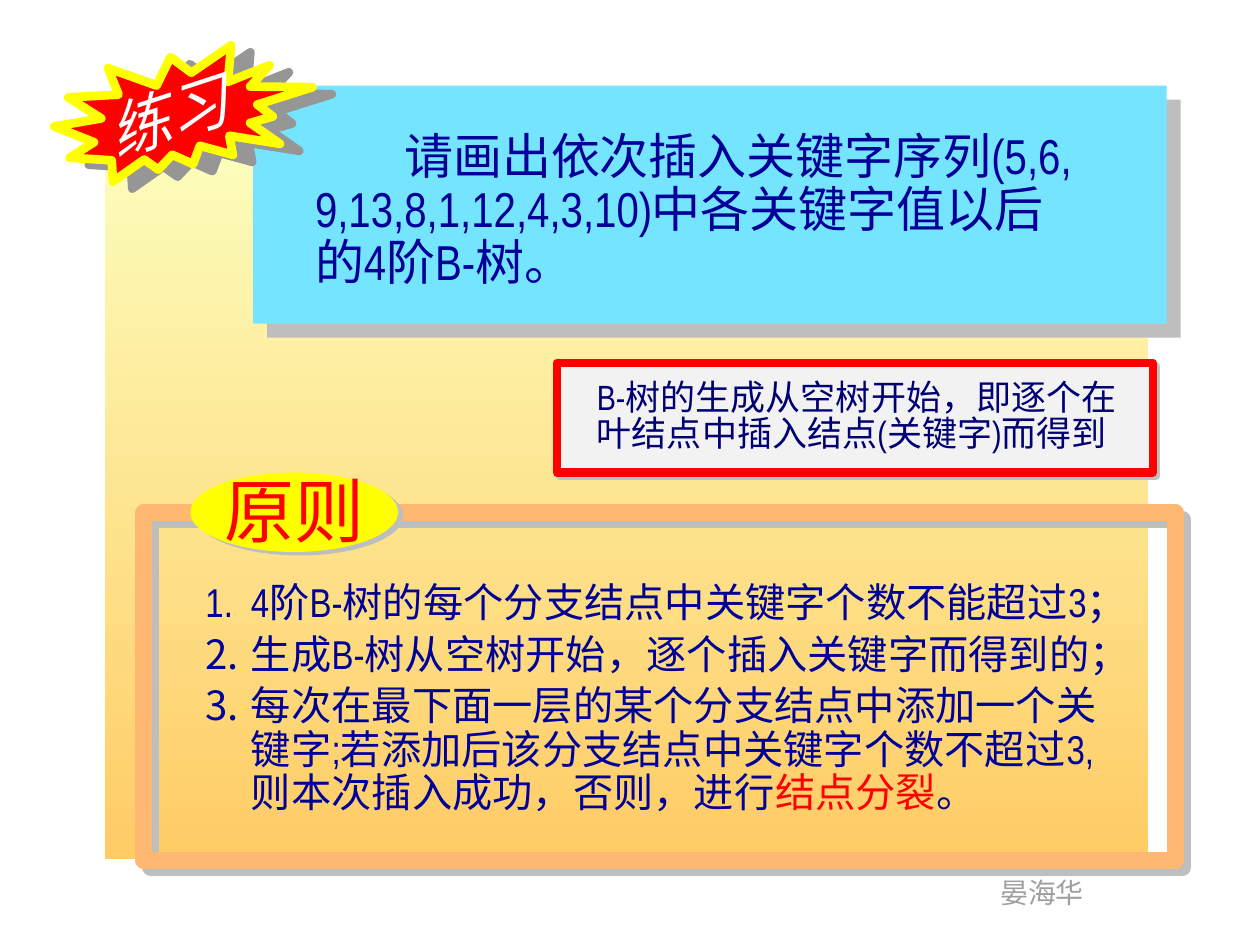
import copy

import pptx
import pptx.util
import pptx.dml.color
import pptx.enum.shapes
import pptx.enum.text
import pptx.oxml.ns
from lxml import etree

Pt = pptx.util.Pt
qn = pptx.oxml.ns.qn
SHAPE = pptx.enum.shapes.MSO_SHAPE
TEXT = pptx.enum.text

COLORS = {
    "pale": "FCFEBC", "amber": "FFCC66", "cyan": "75E5FF", "navy": "000099",
    "ink": "000074", "red": "FF0000", "yellow": "FFFF00", "orange": "FFB871",
    "paper": "F2F2F2", "white": "FFFFFF", "author": "9F9F9F", "black": "000000",
    "shade": "BEBEBE", "dark_shade": "969696", "note_shade": "C0C0C0",
}


def rgb(name):
    return pptx.dml.color.RGBColor.from_string(COLORS[name])


def add_shadow(effects, color, distance, angle):
    shadow = etree.SubElement(effects, qn("a:outerShdw"), dist=str(Pt(distance)),
                              dir=str(angle * 60000), algn="ctr", rotWithShape="0")
    etree.SubElement(shadow, qn("a:srgbClr"), val=COLORS[color])


class SlideBuilder:
    font_name = "Arial Narrow"

    def __init__(self, page):
        self.page = page

    def shape(self, kind, bounds, fill=None, line=None, width=1, shadow=None):
        shape = self.page.shapes.add_shape(kind, *map(Pt, bounds))
        shape.shadow.inherit = False
        if fill:
            shape.fill.solid()
            shape.fill.fore_color.rgb = rgb(fill)
        else:
            shape.fill.background()
        if line:
            shape.line.color.rgb = rgb(line)
            shape.line.width = Pt(width)
        else:
            shape.line.fill.background()
        if shadow:
            add_shadow(shape.element.spPr.find(qn("a:effectLst")), *shadow)
        return shape

    def gradient(self, bounds, top, bottom):
        panel = self.shape(SHAPE.RECTANGLE, bounds)
        panel.fill.gradient()
        panel.fill.gradient_angle = 270
        for stop, color in zip(panel.fill.gradient_stops, (top, bottom)):
            stop.color.rgb = rgb(color)

    def style(self, para, size, color, spacing=None, font=None):
        """Format every run of a paragraph, and its line breaks alike."""
        para.alignment = TEXT.PP_ALIGN.LEFT
        if spacing:
            para.line_spacing = spacing
        for span in para.runs:
            span.font.size = Pt(size)
            span.font.name = font or self.font_name
            span.font.color.rgb = rgb(color)
        for line_break in para._p.findall(qn("a:br")):
            line_break.append(copy.deepcopy(para.runs[0]._r.rPr))

    def text(self, bounds, content, size, color, wrap=True, **style):
        box = self.page.shapes.add_textbox(*map(Pt, bounds))
        box.text_frame.word_wrap = wrap
        box.text_frame.text = content
        self.style(box.text_frame.paragraphs[0], size, color, **style)
        return box

    def placeholder(self, box, bounds):
        """Place a template placeholder in front of everything drawn so far."""
        box.left, box.top, box.width, box.height = map(Pt, bounds)
        box.element.getparent().append(box.element)
        frame = box.text_frame
        frame.word_wrap = True
        frame.auto_size = TEXT.MSO_AUTO_SIZE.NONE
        frame.vertical_anchor = TEXT.MSO_ANCHOR.TOP
        return frame

    def title(self, bounds, content, size, color, indent, spacing):
        frame = self.placeholder(self.page.shapes.title, bounds)
        frame.text = content
        para = frame.paragraphs[0]
        para._p.get_or_add_pPr().set("indent", str(Pt(indent)))
        self.style(para, size, color, spacing)

    def numbered_list(self, bounds, items, size, color, hanging, gap, spacing):
        frame = self.placeholder(self.page.placeholders[1], bounds)
        for index, item in enumerate(items):
            para = frame.add_paragraph() if index else frame.paragraphs[0]
            para.text = item
            para.space_before = Pt(gap if index else 0)
            self.style(para, size, color, spacing)
            props = para._p.get_or_add_pPr()
            props.set("marL", str(Pt(hanging)))
            props.set("indent", str(-Pt(hanging)))
            etree.SubElement(props, qn("a:buFont"), typeface=self.font_name)
            etree.SubElement(props, qn("a:buAutoNum"), type="arabicPeriod")
        return frame


def main():
    deck = pptx.Presentation()
    deck.slide_width, deck.slide_height = Pt(720), Pt(540)
    page = deck.slides.add_slide(deck.slide_layouts[1])
    build = SlideBuilder(page)

    # Background panel and author
    build.gradient((59.8, 79.2, 596, 411.8), "pale", "amber")
    build.text((564.5, 496.8, 62.6, 26.6), "晏海华", 16, "author", wrap=False)

    # Question
    build.shape(SHAPE.RECTANGLE, (144.7, 49, 522, 136), "cyan", shadow=("shade", 11.3, 45))
    build.title((172.8, 72, 459.4, 98),
                "请画出依次插入关键字序列(5,6,\v9,13,8,1,12,4,3,10)中各关键字值以后\v的4阶B-树。",
                28, "navy", indent=51, spacing=0.9)

    # Rules
    rules = build.numbered_list(
        (110.2, 329.6, 595.4, 145),
        ["4阶B-树的每个分支结点中关键字个数不能超过3；",
         "生成B-树从空树开始，逐个插入关键字而得到的；",
         "每次在最下面一层的某个分支结点中添加一个关\v键字;若添加后该分支结点中关键字个数不超过3,"
         "\v则本次插入成功，否则，进行"],
        23, "navy", hanging=26, gap=4.5, spacing=0.9)
    last = rules.paragraphs[-1]
    for words, color in (("结点分裂", "red"), ("。", "navy")):
        span = last.add_run()
        span.text = words
        span.font.size = Pt(23)
        span.font.name = build.font_name
        span.font.color.rgb = rgb(color)

    # Frame of the rules, with its label
    build.shape(SHAPE.RECTANGLE, (82.1, 293, 589.7, 198.7), line="orange", width=9.5,
                shadow=("shade", 5.7, 45))
    build.shape(SHAPE.OVAL, (108.7, 270, 118.8, 45.4), "yellow", shadow=("shade", 3.6, 34))
    label = build.text((121, 263.5, 114.5, 55.4), "原则", 40, "red")
    span_props = label.text_frame.paragraphs[0].runs[0]._r.rPr
    effects = etree.Element(qn("a:effectLst"))
    span_props.find(qn("a:solidFill")).addnext(effects)
    add_shadow(effects, "black", 2, 45)

    # Exercise badge
    build.shape(SHAPE.EXPLOSION2, (31, 25.9, 147.6, 77.8), "red", "yellow", 5,
                shadow=("dark_shade", 11.7, 20))
    badge = build.text((51.8, 31.7, 144, 49), "练习", 35, "white", font="Noto Sans CJK SC")
    badge.rotation = 341.8
    badge.text_frame.paragraphs[0].runs[0].font.italic = True

    # Note on how the tree grows
    build.shape(SHAPE.RECTANGLE, (318.2, 207.4, 340.6, 62.6), "paper", "red", 4.75,
                shadow=("note_shade", 2.8, 45))
    build.text((334, 214.6, 343.4, 48.2),
               "B-树的生成从空树开始，即逐个在\v叶结点中插入结点(关键字)而得到",
               20, "ink", spacing=0.85)

    deck.save("out.pptx")


if __name__ == "__main__":
    main()
